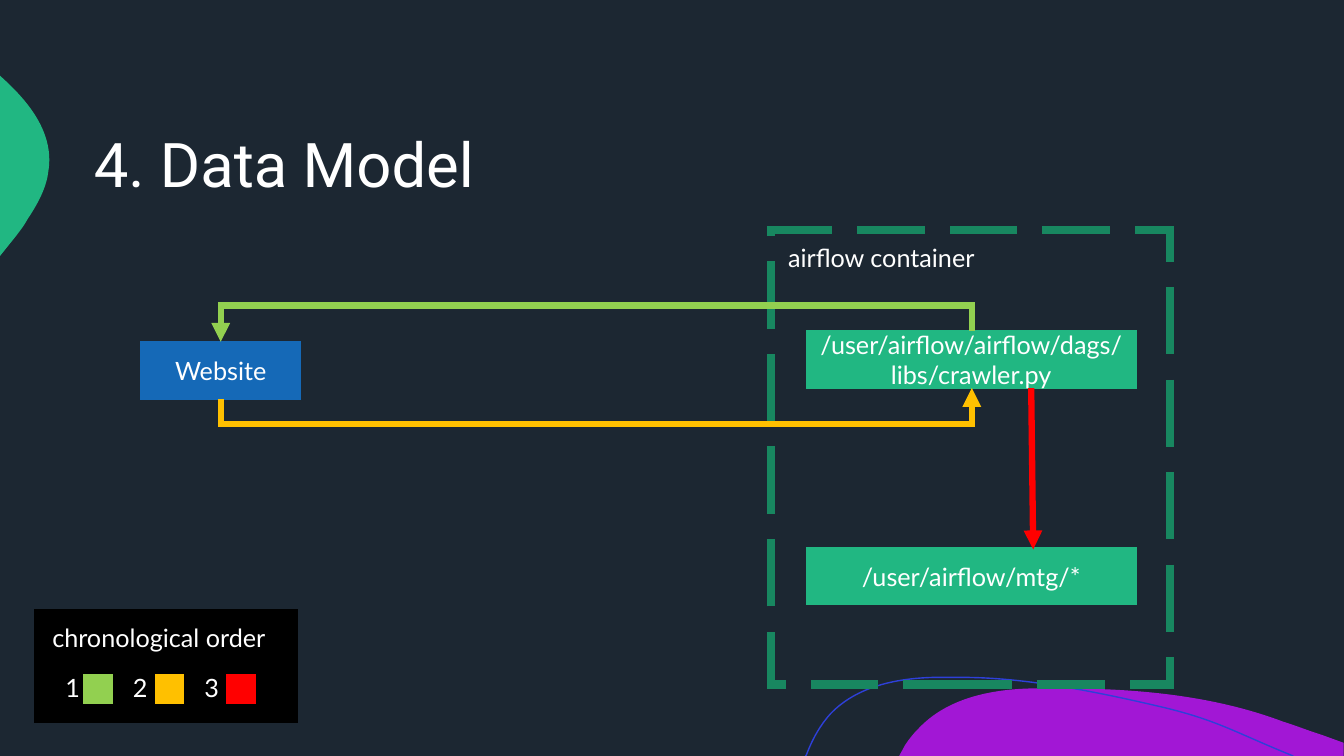
from lxml.etree import SubElement
from pptx import Presentation
from pptx.dml.color import RGBColor
from pptx.enum.dml import MSO_LINE
from pptx.enum.shapes import MSO_CONNECTOR, MSO_SHAPE
from pptx.enum.text import MSO_ANCHOR, MSO_AUTO_SIZE, PP_ALIGN
from pptx.oxml.ns import qn
from pptx.util import Inches, Pt

COLUMN = ROW = Inches(0.1)
WHITE, GREEN, BLUE = "FFFFFF", "21B782", "1569B7"
LIME, AMBER, RED = "92D050", "FFC000", "FF0000"
BODY = {"name": "Lato", "size": Pt(18)}
HEADING = {"name": "Roboto", "size": Pt(44)}

PURPLE_WAVE = [
    [(105.4, 68.3)],
    [(112.8, 68.3), (120.4, 69), (127.3, 71.6)],
    [(128.6, 72), (129.8, 72.5), (131.1, 72.9)],
    [(133.3, 73.7)], [(133.3, 75)], [(89.2, 75)], [(89.8, 73.9)],
    [(90.2, 73.3), (90.6, 72.8), (91.1, 72.3)],
    [(93.9, 69.3), (98.2, 68.4), (102.3, 68.3)],
    [(103.3, 68.3), (104.3, 68.3), (105.4, 68.3)],
]
GREEN_BUBBLE = [
    [(0, 7.5)], [(0.1, 7.6)],
    [(3, 10.2), (5.4, 13.3), (4.8, 17)],
    [(4.6, 18.7), (3.7, 20.3), (2.7, 21.8)],
    [(2.4, 22.4), (1.7, 23.3), (0.8, 24.4)],
    [(0, 25.4)],
]
BLUE_ARC = [
    [(79.9, 75)], [(80, 74.9)],
    [(80.6, 73.3), (81.4, 71.9), (82.4, 70.8)],
    [(85, 68.1), (88.9, 67.3), (92.6, 67.2)],
    [(95.5, 67.2)],
    [(102.2, 67.2), (110, 68.9), (115.5, 70.2)],
    [(120.9, 71.5), (122.6, 72.7), (128.3, 75)],
]


def cells(*numbers):
    """Turn grid cells into whole slide units."""
    return [round(number * COLUMN) for number in numbers]


def color(hex_code):
    """Return the colour of a hex string."""
    return RGBColor.from_string(hex_code)


def apply(target, values):
    """Set every attribute named in a dict."""
    for name, value in values.items():
        setattr(target, name, value)


def paint(part, fill=None, edge=None, weight=1, dash=None):
    """Give a shape its fill and its outline."""
    part.shadow.inherit = False
    if fill:
        part.fill.solid()
        part.fill.fore_color.rgb = color(fill)
    else:
        part.fill.background()
    if edge:
        stroke(part.line, edge, weight, dash)
    else:
        part.line.fill.background()


def stroke(line, edge, weight, dash=None):
    """Draw a line with sharp corners."""
    line.fill.solid()
    line.fill.fore_color.rgb = color(edge)
    apply(line, {"width": Pt(weight), "dash_style": dash})
    SubElement(line._get_or_add_ln(), qn("a:miter"), lim="800000")


def write(frame, wording, font, anchor=MSO_ANCHOR.TOP, align=PP_ALIGN.LEFT, spacing=None):
    """Write one white paragraph into a text frame."""
    apply(frame, {"word_wrap": True, "vertical_anchor": anchor})
    paragraph = frame.paragraphs[0]
    apply(paragraph, {"alignment": align, "line_spacing": spacing})
    run = paragraph.add_run()
    run.text = wording
    apply(run.font, font)
    run.font.color.rgb = color(WHITE)


def add_wave(slide, segments, closed=True, **look):
    """Add a flowing outline made of lines and cubic curves."""
    points = [cells(*point) for segment in segments for point in segment]
    builder = slide.shapes.build_freeform(*points[0])
    builder.add_line_segments(points[1:], close=closed)
    wave = builder.convert_to_shape()
    paint(wave, **look)
    strokes = iter(list(wave._element.iter(qn("a:lnTo"))))
    for segment in segments[1:]:
        parts = [next(strokes) for _ in segment]
        if len(parts) == 3:
            parts[0].tag = qn("a:cubicBezTo")
            for control in parts[1:]:
                parts[0].append(control[0])
                control.getparent().remove(control)


def add_box(slide, place, wording=None, **look):
    """Add a rectangle, with centred wording if given."""
    box = slide.shapes.add_shape(MSO_SHAPE.RECTANGLE, *cells(*place))
    paint(box, **look)
    if wording:
        write(box.text_frame, wording, BODY, MSO_ANCHOR.MIDDLE, PP_ALIGN.CENTER)


def add_label(slide, place, wording, font=BODY, fit=MSO_AUTO_SIZE.SHAPE_TO_FIT_TEXT, **layout):
    """Add a plain text label."""
    label = slide.shapes.add_textbox(*cells(*place))
    label.text_frame.auto_size = fit
    write(label.text_frame, wording, font, **layout)


def add_arrow(slide, start, end, edge, kind=MSO_CONNECTOR.STRAIGHT):
    """Add a thick connector with a triangle at its end."""
    arrow = slide.shapes.add_connector(kind, *cells(*start, *end))
    stroke(arrow.line, edge, 4.5)
    SubElement(arrow.line._get_or_add_ln(), qn("a:tailEnd"), type="triangle")
    SubElement(arrow._element.spPr, qn("a:effectLst"))
    return arrow


def add_detour(slide, start, end, edge, reach=2.5):
    """Add an elbow arrow that leaves and enters vertically."""
    arrow = add_arrow(slide, start, end, edge, MSO_CONNECTOR.ELBOW)
    run, rise = abs(end[0] - start[0]), abs(end[1] - start[1])
    left = (start[0] + end[0] - rise) / 2
    top = (start[1] + end[1] - run) / 2
    apply(arrow, dict(zip(("left", "top", "width", "height"), cells(left, top, rise, run))))
    turn = 270 if end[0] < start[0] else 90
    frame = arrow._element.spPr.find(qn("a:xfrm"))
    for name, value in {"rot": turn * 60000, "flipH": 1, "flipV": 1}.items():
        frame.set(name, str(value))
    guides = arrow._element.spPr.find(qn("a:prstGeom")).get_or_add_avLst()
    bend = round(-reach / rise * 100000)
    SubElement(guides, qn("a:gd"), name="adj1", fmla=f"val {bend}")


def add_legend(slide):
    """Add the swatches and numbers of the arrow order."""
    steps = ((LIME, 5.5, 3.5), (AMBER, 12.2, 4.3), (RED, 19.3, 4.3))
    for index, (shade, _, _) in enumerate(steps):
        add_box(slide, (8.3 + 7.1 * index, 66.9, 2.8, 2.9), fill=shade, edge=shade)
    add_label(slide, (4.2, 61.2, 30.1, 4), "chronological order")
    for number, (_, left, width) in enumerate(steps, 1):
        add_label(slide, (left, 66.2, width, 4), str(number))


def main():
    """Build the slide and save it."""
    deck = Presentation()
    apply(deck, {"slide_width": round(133.33 * COLUMN), "slide_height": 75 * ROW})
    slide = deck.slides.add_slide(deck.slide_layouts[6])
    slide.background.fill.solid()
    slide.background.fill.fore_color.rgb = color("1C2732")

    add_wave(slide, PURPLE_WAVE, fill="A217D5")
    add_wave(slide, GREEN_BUBBLE, fill=GREEN)
    add_wave(slide, BLUE_ARC, closed=False, edge="2E40D9")

    add_box(slide, (3.4, 60.5, 26.1, 11.2), fill="000000", edge="000000")
    add_label(slide, (8.33, 8.3, 116.7, 16.7), "4. Data Model", HEADING,
              fit=MSO_AUTO_SIZE.NONE, anchor=MSO_ANCHOR.MIDDLE, spacing=0.9)
    add_box(slide, (76.5, 22.8, 39.6, 45.1), edge="188760", weight=6, dash=MSO_LINE.LONG_DASH)
    add_box(slide, (14, 33.9, 15.8, 5.7), "Website", fill=BLUE, edge=BLUE)
    add_label(slide, (77.2, 23.6, 25.3, 4), "airflow container")
    for top, location in ((32.8, "/user/airflow/airflow/dags/libs/crawler.py"),
                          (54.3, "/user/airflow/mtg/*")):
        add_box(slide, (80, top, 32.7, 5.7), location, fill=GREEN, edge=GREEN)

    add_detour(slide, (96.4, 32.8), (21.9, 33.9), LIME)
    add_detour(slide, (21.9, 39.6), (96.4, 38.5), AMBER)
    add_arrow(slide, (102.3, 38.5), (102.5, 54.5), RED)
    add_legend(slide)
    deck.save("out.pptx")


if __name__ == "__main__":
    main()
